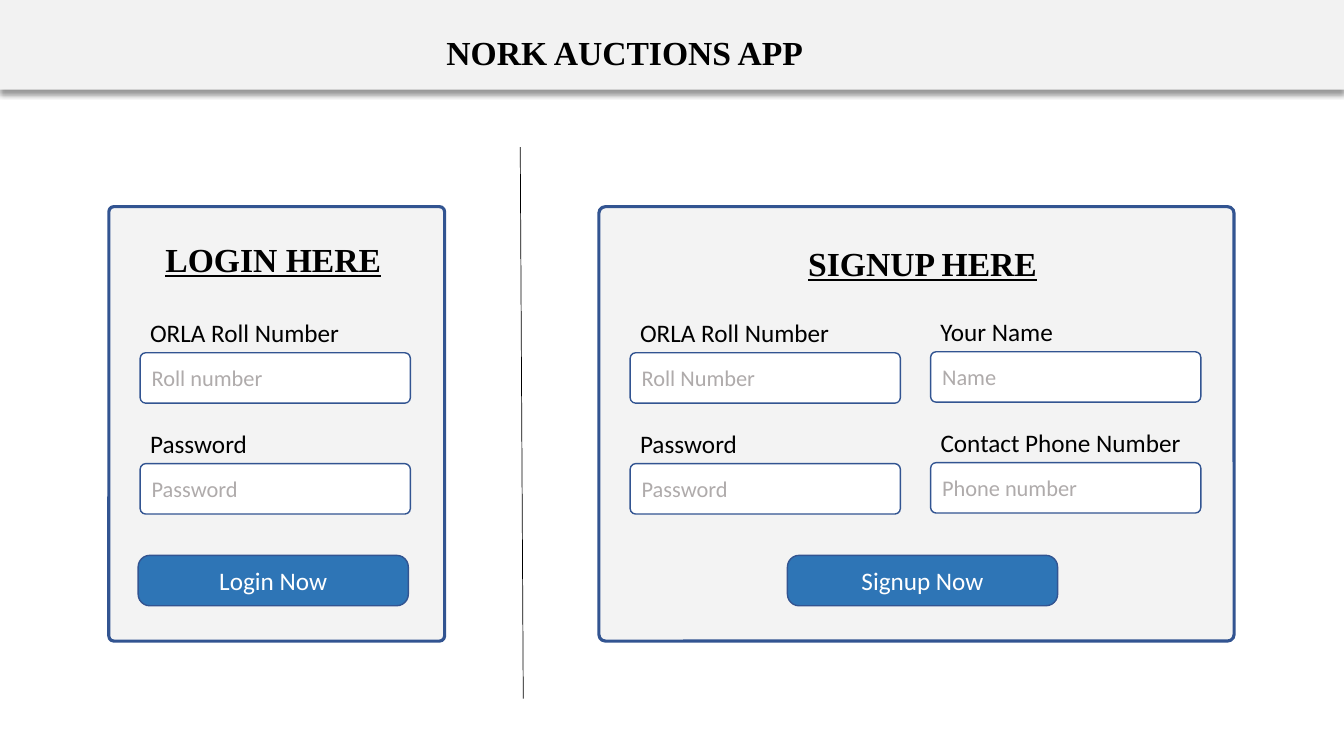
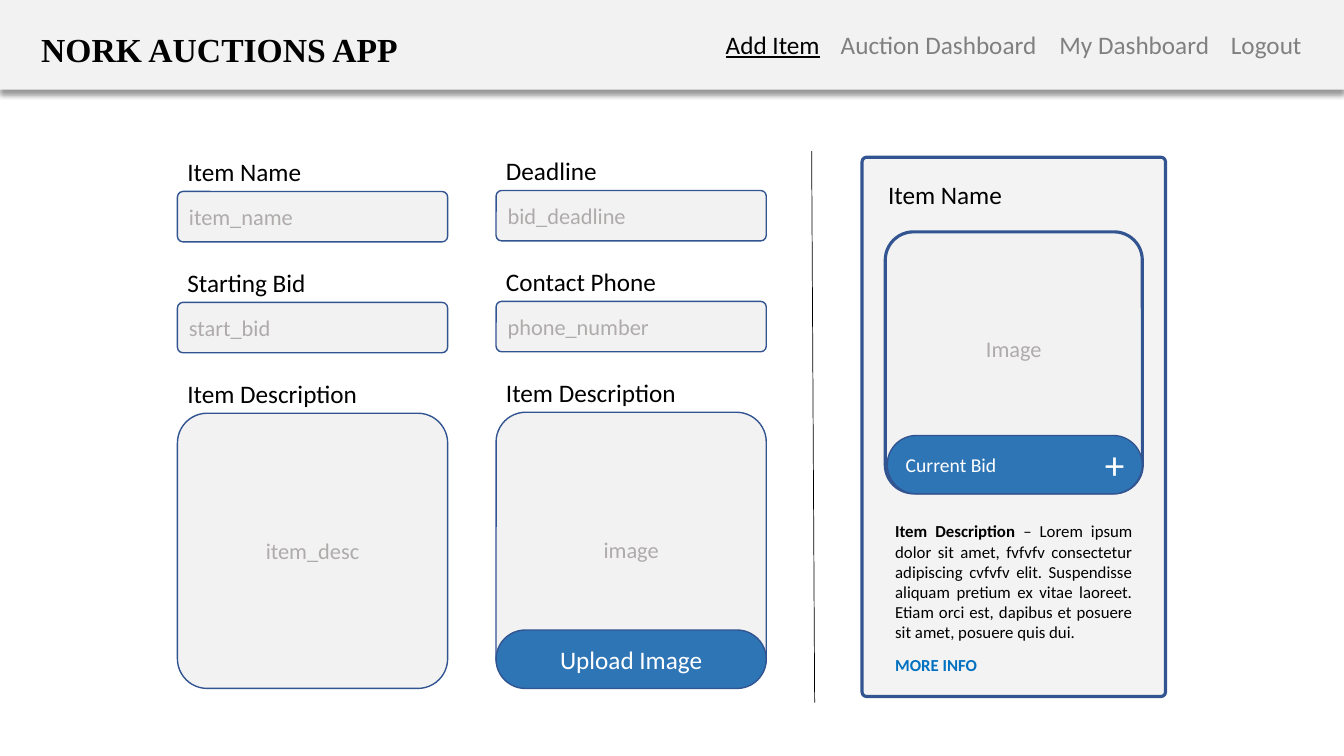
from dataclasses import dataclass

from lxml import etree
from pptx import Presentation
from pptx.dml.color import RGBColor
from pptx.enum.shapes import MSO_CONNECTOR, MSO_SHAPE
from pptx.enum.text import MSO_ANCHOR, MSO_AUTO_SIZE, PP_ALIGN
from pptx.oxml.ns import qn
from pptx.shapes.autoshape import Shape
from pptx.slide import Slide
from pptx.util import Emu, Pt

EMU_PER_PX = 9144
SLIDE_WIDTH, SLIDE_HEIGHT = 1333, 750

BLACK = RGBColor(0x00, 0x00, 0x00)
WHITE = RGBColor(0xFF, 0xFF, 0xFF)
BAND_GREY = RGBColor(0xF2, 0xF2, 0xF2)
CARD_GREY = RGBColor(0xF3, 0xF3, 0xF3)
HINT_GREY = RGBColor(0xAF, 0xAB, 0xAB)
NAV_GREY = RGBColor(0x80, 0x80, 0x80)
OUTLINE_BLUE = RGBColor(0x32, 0x54, 0x91)
BUTTON_BLUE = RGBColor(0x2E, 0x75, 0xB6)
LINK_BLUE = RGBColor(0x00, 0x70, 0xC0)

RECTANGLE = MSO_SHAPE.RECTANGLE
ROUNDED = MSO_SHAPE.ROUNDED_RECTANGLE
STRAIGHT = MSO_CONNECTOR.STRAIGHT
LEFT, CENTER = PP_ALIGN.LEFT, PP_ALIGN.CENTER
RIGHT, JUSTIFY = PP_ALIGN.RIGHT, PP_ALIGN.JUSTIFY
MIDDLE = MSO_ANCHOR.MIDDLE
GROW = MSO_AUTO_SIZE.SHAPE_TO_FIT_TEXT

FIELD_WIDTH, FIELD_HEIGHT = 268, 50
CAPTION_HEIGHT = 40
ROW_PITCH = 110
FIELD_ROUNDING, BUTTON_ROUNDING, CARD_ROUNDING, PILL_ROUNDING = 0.11, 0.23, 0.015, 0.5
APP_NAME = "NORK AUCTIONS APP"
APP_NAME_WIDTH = 384


@dataclass(frozen=True)
class Box:
    left: int
    top: int
    width: int
    height: int

    def emu(self) -> tuple[Emu, Emu, Emu, Emu]:
        return px(self.left), px(self.top), px(self.width), px(self.height)


@dataclass(frozen=True)
class TextStyle:
    size: int
    color: RGBColor = BLACK
    font: str = "Calibri"
    bold: bool = False
    underline: bool = False
    align: PP_ALIGN = LEFT


@dataclass(frozen=True)
class Field:
    caption: str
    caption_width: int
    hint: str
    height: int = FIELD_HEIGHT
    hint_align: PP_ALIGN = LEFT


@dataclass(frozen=True)
class NavItem:
    label: str
    width: int
    active: bool = False


SERIF = "Times New Roman"
APP_TITLE = TextStyle(24, font=SERIF, bold=True)
FORM_TITLE = TextStyle(24, font=SERIF, bold=True, underline=True, align=CENTER)
CAPTION = TextStyle(18)
NAV = TextStyle(18, NAV_GREY)
NAV_ACTIVE = TextStyle(18, underline=True)
BUTTON = TextStyle(18, WHITE, align=CENTER)
BID = TextStyle(14, WHITE)
PLUS = TextStyle(28, WHITE)
BODY = TextStyle(12, align=JUSTIFY)
MORE_LINK = TextStyle(12, LINK_BLUE, bold=True, align=RIGHT)

LOGIN_FIELDS = [
    Field("ORLA Roll Number", 214, "Roll number"),
    Field("Password", 117, "Password"),
]
SIGNUP_FIELDS = [
    Field("ORLA Roll Number", 214, "Roll Number"),
    Field("Password", 117, "Password"),
]
CONTACT_FIELDS = [
    Field("Your Name", 133, "Name"),
    Field("Contact Phone Number", 261, "Phone number"),
]
ITEM_FIELDS = [
    Field("Item Name", 134, "item_name"),
    Field("Starting Bid", 139, "start_bid"),
    Field("Item Description", 191, "item_desc", 273, CENTER),
]
AUCTION_FIELDS = [
    Field("Deadline", 111, "bid_deadline"),
    Field("Contact Phone", 171, "phone_number"),
    Field("Item Description", 191, "image", 273, CENTER),
]
NAV_ITEMS = [
    NavItem("Add Item", 114, True),
    NavItem("Auction Dashboard", 217),
    NavItem("My Dashboard", 170),
    NavItem("Logout", 91),
]
DESCRIPTION = (
    "– Lorem ipsum dolor sit amet, fvfvfv consectetur adipiscing cvfvfv elit. "
    "Suspendisse aliquam pretium ex vitae laoreet. Etiam orci est, dapibus et "
    "posuere sit amet, posuere quis dui."
)


def px(length: int) -> Emu:
    return Emu(length * EMU_PER_PX)


def format_text(host: Shape, style: TextStyle) -> None:
    for paragraph in host.text_frame.paragraphs:
        paragraph.alignment = style.align
        for run in paragraph.runs:
            run.font.name = style.font
            run.font.size = Pt(style.size)
            run.font.bold = style.bold
            run.font.underline = style.underline
            run.font.color.rgb = style.color


def add_label(slide: Slide, box: Box, text: str, style: TextStyle, wrap: bool = False) -> Shape:
    label = slide.shapes.add_textbox(*box.emu())
    label.text_frame.word_wrap = wrap
    label.text_frame.auto_size = GROW
    label.text_frame.text = text
    format_text(label, style)
    return label


def add_panel(slide: Slide, box: Box, fill: RGBColor, rounding: float, line_width: float = 1) -> Shape:
    panel = slide.shapes.add_shape(ROUNDED, *box.emu())
    panel.adjustments[0] = rounding
    panel.shadow.inherit = False
    panel.fill.solid()
    panel.fill.fore_color.rgb = fill
    panel.line.color.rgb = OUTLINE_BLUE
    panel.line.width = Pt(line_width)
    return panel


def fill_panel(panel: Shape, text: str, style: TextStyle) -> None:
    panel.text_frame.text = text
    panel.text_frame.vertical_anchor = MIDDLE
    format_text(panel, style)


def add_card(slide: Slide, box: Box) -> None:
    add_panel(slide, box, CARD_GREY, CARD_ROUNDING, 2.25)


def add_button(slide: Slide, box: Box, text: str, rounding: float, style: TextStyle = BUTTON) -> None:
    fill_panel(add_panel(slide, box, BUTTON_BLUE, rounding), text, style)


def add_fields(slide: Slide, left: int, top: int, fields: list[Field], fill: RGBColor) -> None:
    for row, field in enumerate(fields):
        caption_top = top + row * ROW_PITCH
        add_label(slide, Box(left, caption_top, field.caption_width, CAPTION_HEIGHT), field.caption, CAPTION)
        entry_box = Box(left, caption_top + CAPTION_HEIGHT, FIELD_WIDTH, field.height)
        entry = add_panel(slide, entry_box, fill, FIELD_ROUNDING)
        fill_panel(entry, field.hint, TextStyle(16, HINT_GREY, align=field.hint_align))


def add_divider(slide: Slide, left: int, top: int) -> None:
    divider = slide.shapes.add_connector(STRAIGHT, px(left), px(top), px(left + 3), px(top + 547))
    divider.line.color.rgb = BLACK
    divider.line.width = Pt(0.5)
    etree.SubElement(divider._element.spPr, qn("a:effectLst"))


def add_header(slide: Slide, title_left: int, title_top: int) -> None:
    band = slide.shapes.add_shape(RECTANGLE, *Box(0, 0, SLIDE_WIDTH, 89).emu())
    band.fill.solid()
    band.fill.fore_color.rgb = BAND_GREY
    band.line.fill.background()
    band.shadow.inherit = False
    effects = band._element.spPr.find(qn("a:effectLst"))
    shadow = etree.SubElement(
        effects, qn("a:outerShdw"), blurRad=str(Pt(4)), dist=str(Pt(3)),
        dir="5400000", algn="t", rotWithShape="0",
    )
    tint = etree.SubElement(shadow, qn("a:srgbClr"), val=str(BLACK))
    etree.SubElement(tint, qn("a:alpha"), val="40000")
    add_label(slide, Box(title_left, title_top, APP_NAME_WIDTH, 50), APP_NAME, APP_TITLE)


def add_navigation(slide: Slide, left: int) -> None:
    for item in NAV_ITEMS:
        style = NAV_ACTIVE if item.active else NAV
        add_label(slide, Box(left, 24, item.width, CAPTION_HEIGHT), item.label, style)
        left += item.width


def add_item_card(slide: Slide) -> None:
    add_card(slide, Box(855, 156, 301, 535))
    add_label(slide, Box(871, 173, 134, CAPTION_HEIGHT), "Item Name", CAPTION)
    preview = add_panel(slide, Box(878, 230, 255, 259), BAND_GREY, FIELD_ROUNDING, 2.25)
    fill_panel(preview, "Image", TextStyle(16, HINT_GREY, align=CENTER))
    preview.text_frame.margin_bottom = px(32)
    description = add_label(slide, Box(878, 512, 255, 131), "Item Description ", BODY, wrap=True)
    description.text_frame.paragraphs[0].add_run().text = DESCRIPTION
    format_text(description, BODY)
    description.text_frame.paragraphs[0].runs[0].font.bold = True
    add_button(slide, Box(880, 432, 253, 58), "Current Bid", PILL_ROUNDING, BID)
    add_label(slide, Box(1086, 432, 40, 57), "+", PLUS)
    add_label(slide, Box(877, 645, 102, 30), "MORE INFO", MORE_LINK)


def build_entry_slide(slide: Slide) -> None:
    add_header(slide, 433, 27)
    add_card(slide, Box(108, 205, 333, 431))
    add_label(slide, Box(154, 232, 234, 50), "LOGIN HERE", FORM_TITLE)
    add_fields(slide, 139, 310, LOGIN_FIELDS, WHITE)
    add_button(slide, Box(137, 551, FIELD_WIDTH, FIELD_HEIGHT), "Login Now", BUTTON_ROUNDING)
    add_divider(slide, 516, 146)
    add_card(slide, Box(594, 205, 630, 431))
    add_label(slide, Box(790, 236, 250, 50), "SIGNUP HERE", FORM_TITLE)
    add_fields(slide, 625, 310, SIGNUP_FIELDS, WHITE)
    add_fields(slide, 923, 309, CONTACT_FIELDS, WHITE)
    add_button(slide, Box(781, 551, FIELD_WIDTH, FIELD_HEIGHT), "Signup Now", BUTTON_ROUNDING)


def build_item_slide(slide: Slide) -> None:
    add_header(slide, 31, 24)
    add_navigation(slide, 710)
    add_fields(slide, 176, 150, ITEM_FIELDS, BAND_GREY)
    add_fields(slide, 492, 149, AUCTION_FIELDS, BAND_GREY)
    add_button(slide, Box(492, 625, FIELD_WIDTH, 58), "Upload Image", PILL_ROUNDING)
    add_divider(slide, 805, 150)
    add_item_card(slide)


def main() -> None:
    presentation = Presentation()
    presentation.slide_width = px(SLIDE_WIDTH)
    presentation.slide_height = px(SLIDE_HEIGHT)
    blank = presentation.slide_layouts[6]
    for build in (build_entry_slide, build_item_slide):
        build(presentation.slides.add_slide(blank))
    presentation.save("out.pptx")


if __name__ == "__main__":
    main()
